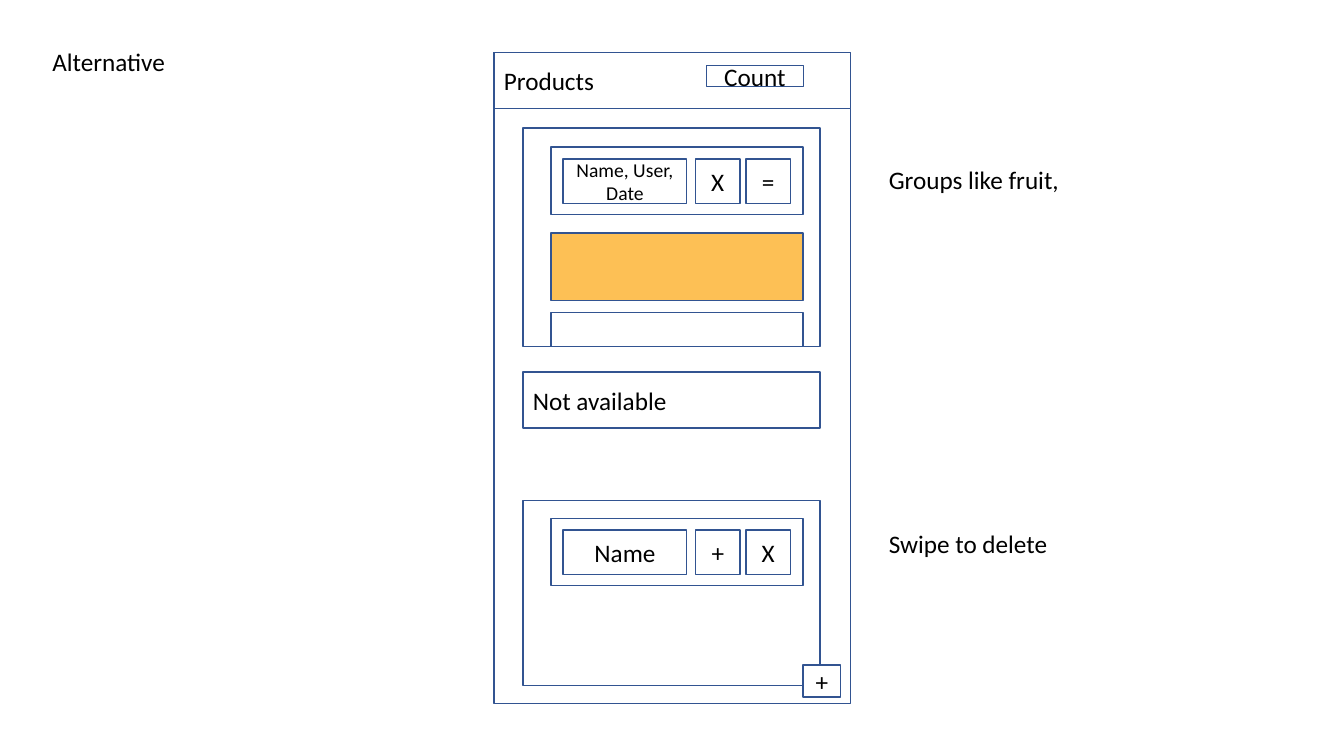
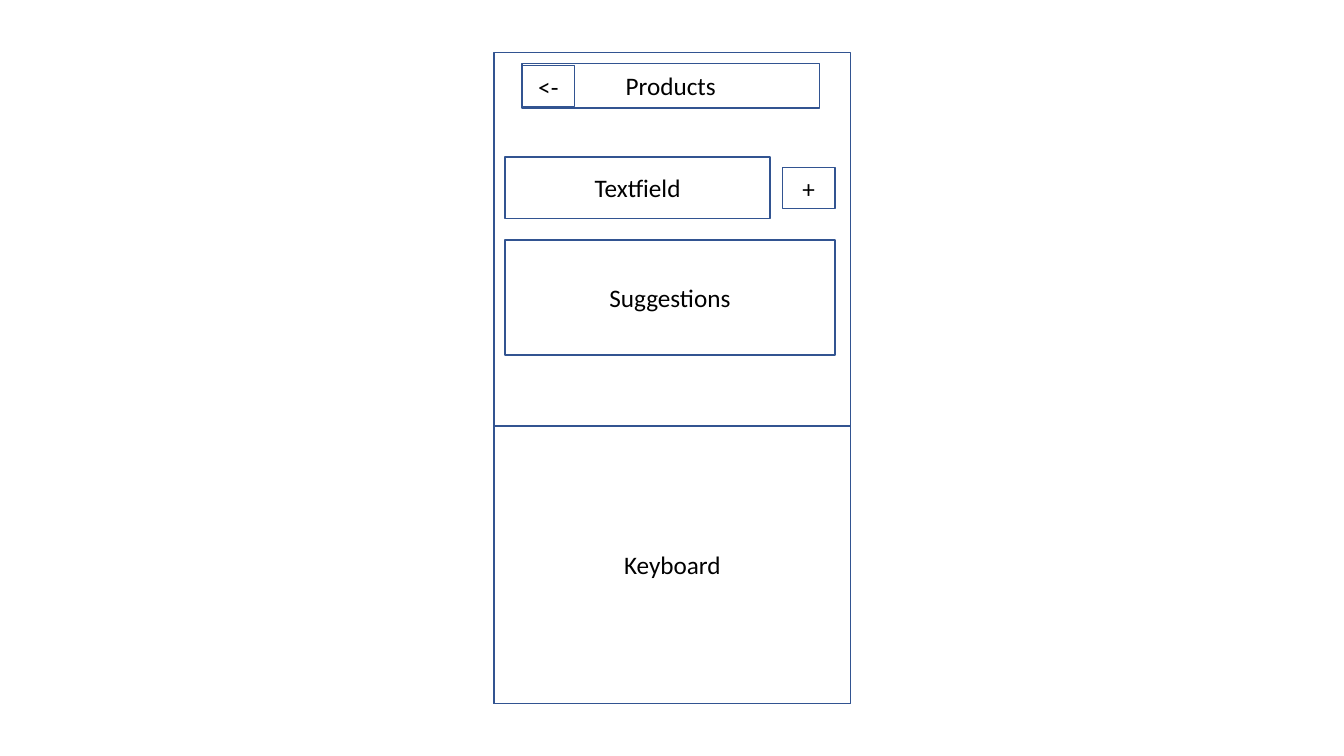
import pptx
import pptx.dml.color
import pptx.enum.shapes
import pptx.enum.text
import pptx.util

Cm = pptx.util.Cm
Pt = pptx.util.Pt
ALIGN = pptx.enum.text.PP_ALIGN


def rgb(value):
    return pptx.dml.color.RGBColor.from_string(value)


class Wireframe:
    FONT = "Calibri"
    TEXT = "000000"
    LINE = "325491"
    PAPER = "FFFFFF"
    HIGHLIGHT = "FDC055"

    PHONE_X, PHONE_Y, PHONE_W, PHONE_H = 12.45, 1.32, 8.99, 16.41
    PANEL_X, PANEL_W = 13.18, 7.49
    ROW_X, ROW_W, ROW_H = 13.89, 6.35, 1.7
    BAR_H = 1.42
    CELL_H = 1.12
    CELLS = ((0.3, 3.12), (3.64, CELL_H), (4.91, CELL_H))
    BUTTON_W, BUTTON_H = 1.32, 1.04

    def __init__(self, prs):
        self.prs = prs
        self.s = None

    def screen(self):
        self.s = self.prs.slides.add_slide(self.prs.slide_layouts[6])
        self.box(self.PHONE_X, self.PHONE_Y, self.PHONE_W, self.PHONE_H)

    def label(self, tf, text, size, align):
        p = tf.paragraphs[0]
        p.text = text
        p.alignment = align
        p.font.name = self.FONT
        p.font.size = Pt(size)
        p.font.color.rgb = rgb(self.TEXT)

    def box(self, x, y, w, h, text="", size=18, align=ALIGN.CENTER, fill=PAPER):
        sp = self.s.shapes.add_shape(
            pptx.enum.shapes.MSO_SHAPE.RECTANGLE, Cm(x), Cm(y), Cm(w), Cm(h))
        sp.shadow.inherit = False
        sp.fill.solid()
        sp.fill.fore_color.rgb = rgb(fill)
        sp.line.color.rgb = rgb(self.LINE)
        sp.line.width = Pt(1)
        if text:
            tf = sp.text_frame
            tf.word_wrap = True
            tf.vertical_anchor = pptx.enum.text.MSO_ANCHOR.MIDDLE
            self.label(tf, text, size, align)

    def panel(self, y, h, text=""):
        self.box(self.PANEL_X, y, self.PANEL_W, h, text, align=ALIGN.LEFT)

    def row(self, y, texts=(), size=18, h=ROW_H, fill=PAPER):
        self.box(self.ROW_X, y, self.ROW_W, h, fill=fill)
        sizes = (size, 18, 18)
        for (dx, w), text, pt in zip(self.CELLS, texts, sizes):
            self.box(self.ROW_X + dx, y + 0.3, w, self.CELL_H, text, pt)

    def button(self, x, y, text):
        self.box(x, y, self.BUTTON_W, self.BUTTON_H, text)

    def note(self, x, y, w, text):
        tf = self.s.shapes.add_textbox(Cm(x), Cm(y), Cm(w), Cm(1.02)).text_frame
        tf.word_wrap = False
        tf.auto_size = pptx.enum.text.MSO_AUTO_SIZE.SHAPE_TO_FIT_TEXT
        self.label(tf, text, 18, ALIGN.LEFT)


def product_list(w):
    w.screen()
    w.panel(3.23, 5.51)
    w.row(7.87, h=0.87)
    w.panel(12.62, 4.65)
    w.row(3.71, ("Name, User, Date", "X", "="), size=14)
    w.row(5.87, fill=w.HIGHLIGHT)
    w.row(13.06, ("Name", "+", "X"))
    w.box(w.PHONE_X, w.PHONE_Y, w.PHONE_W, w.BAR_H, "Products", align=ALIGN.LEFT)
    w.box(20.24, 16.76, 0.95, 0.81, "+")
    w.panel(9.37, w.BAR_H, "Not available")
    w.box(17.8, 1.65, 2.45, 0.53, "Count")
    w.note(22.15, 13.18, 4.55, "Swipe to delete")
    w.note(22.15, 4.01, 5, "Groups like fruit,")
    w.note(1.07, 1.04, 3.38, "Alternative")


def product_entry(w):
    left, right = 12.73, 21.04
    w.screen()
    w.box(w.PHONE_X, 10.74, w.PHONE_W, 6.99, "Keyboard")
    w.box(13.16, 1.6, w.PANEL_W, w.CELL_H, "Products")
    w.button(13.16, 1.65, "<-")
    w.box(left, 3.96, 6.68, 1.55, "Textfield")
    w.button(right - w.BUTTON_W, 4.22, "+")
    w.box(left, 6.05, right - left, 2.9, "Suggestions")


def main():
    prs = pptx.Presentation()
    prs.slide_width, prs.slide_height = Cm(33.87), Cm(19.05)
    w = Wireframe(prs)
    product_list(w)
    product_entry(w)
    prs.save("out.pptx")


if __name__ == "__main__":
    main()
